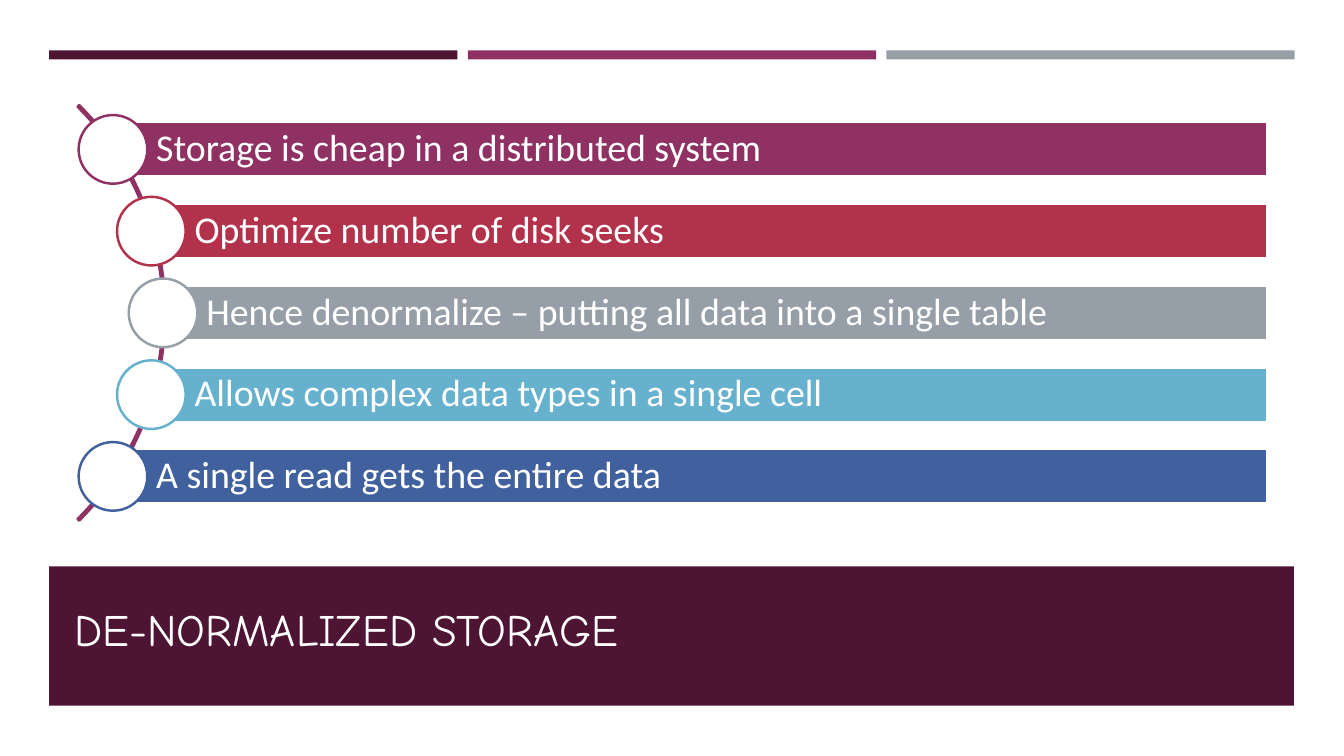
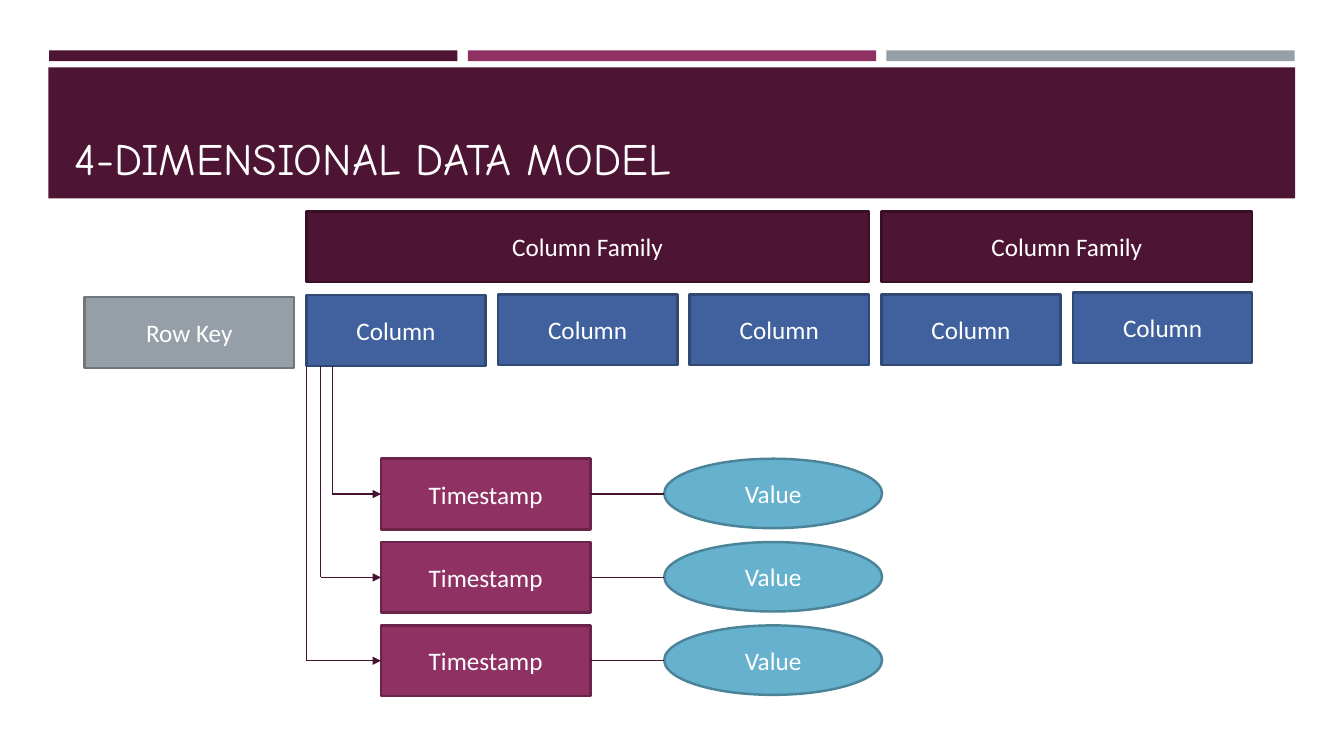
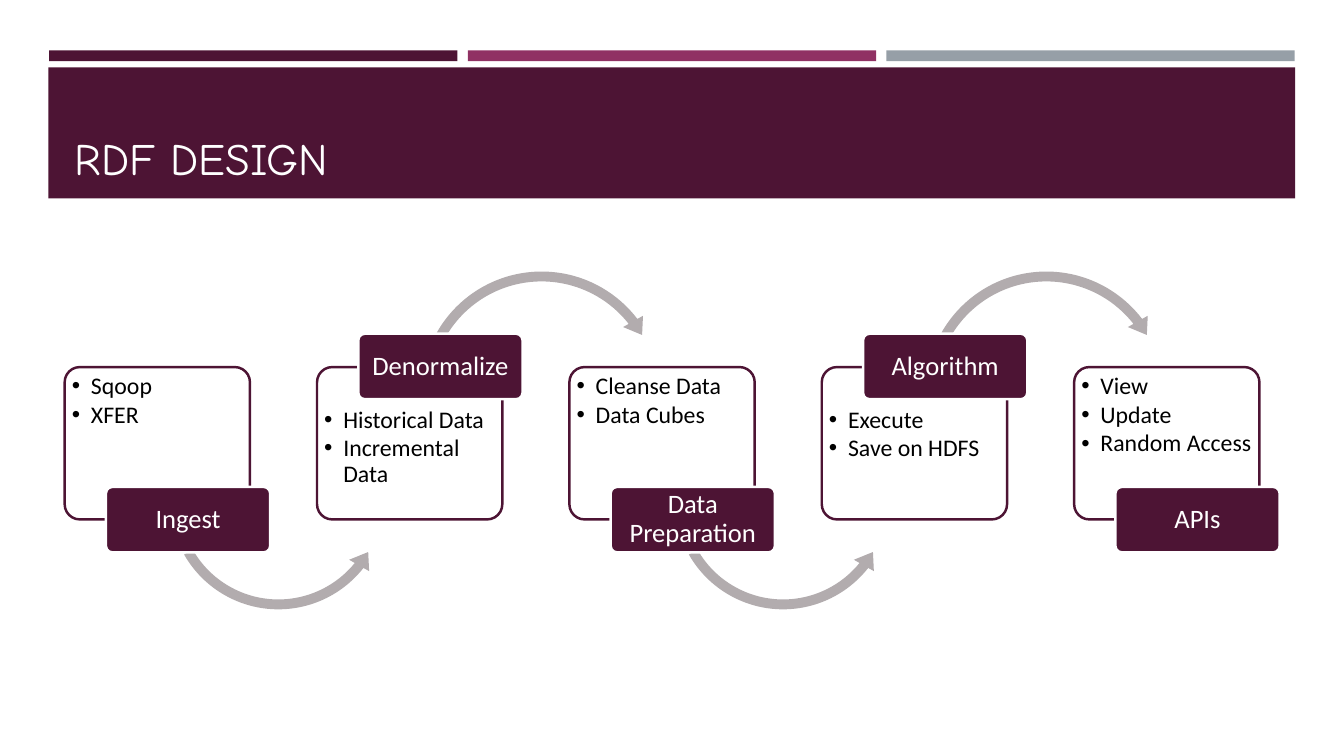
from math import sqrt

from lxml import etree
from pptx import Presentation
from pptx.dml.color import RGBColor
from pptx.enum.shapes import MSO_CONNECTOR, MSO_SHAPE
from pptx.enum.text import MSO_ANCHOR, PP_ALIGN
from pptx.oxml.ns import qn
from pptx.util import Cm, Pt

RECT, ROUND, OVAL = MSO_SHAPE.RECTANGLE, MSO_SHAPE.ROUNDED_RECTANGLE, MSO_SHAPE.OVAL
BLOCK_ARC = MSO_SHAPE.BLOCK_ARC
ARROW_OVER, ARROW_UNDER = MSO_SHAPE.CIRCULAR_ARROW, MSO_SHAPE.LEFT_CIRCULAR_ARROW
STRAIGHT = MSO_CONNECTOR.STRAIGHT
TOP, MIDDLE, BOTTOM = MSO_ANCHOR.TOP, MSO_ANCHOR.MIDDLE, MSO_ANCHOR.BOTTOM
LEFT, CENTER = PP_ALIGN.LEFT, PP_ALIGN.CENTER

WHITE = RGBColor(0xFF, 0xFF, 0xFF)
BLACK = RGBColor(0x00, 0x00, 0x00)
WINE = RGBColor(0x4D, 0x14, 0x34)
WINE_DARK = RGBColor(0x39, 0x0F, 0x26)
WINE_LINE = RGBColor(0x45, 0x12, 0x2F)
PLUM = RGBColor(0x90, 0x31, 0x63)
PLUM_DARK = RGBColor(0x6B, 0x24, 0x49)
RED = RGBColor(0xB2, 0x32, 0x4B)
GREY = RGBColor(0x96, 0x9F, 0xA7)
GREY_DARK = RGBColor(0x6F, 0x76, 0x7C)
SKY = RGBColor(0x66, 0xB1, 0xCE)
SKY_DARK = RGBColor(0x4B, 0x83, 0x98)
BLUE = RGBColor(0x40, 0x61, 0x9D)
BLUE_DARK = RGBColor(0x2F, 0x48, 0x74)
ARROW = RGBColor(0xB2, 0xAC, 0xAE)

BODY, HEAD = "Calibri", "Comic Neue"
INSETS = (0.25, 0.13, 0.25, 0.13)


def set_all(obj, values):
    for name, value in values.items():
        setattr(obj, name, value)


def add_shape(s, kind, box, fill=None, line=None, adj=()):
    sp = s.shapes.add_shape(kind, *map(Cm, box))
    sp.shadow.inherit = False
    if fill is None:
        sp.fill.background()
    else:
        sp.fill.solid()
        sp.fill.fore_color.rgb = fill
    if line is None:
        sp.line.fill.background()
    else:
        sp.line.color.rgb = line
        sp.line.width = Pt(1.75)
    for i, value in enumerate(adj):
        sp.adjustments[i] = value
    return sp


def add_bullet(p):
    pPr = p._p.get_or_add_pPr()
    pPr.set("marL", str(Cm(0.48)))
    pPr.set("indent", str(-Cm(0.48)))
    etree.SubElement(pPr, qn("a:buFont")).set("typeface", "Arial")
    etree.SubElement(pPr, qn("a:buChar")).set("char", "•")


def write(sp, lines, size, color=WHITE, font=BODY, anchor=MIDDLE, align=CENTER,
          insets=INSETS, spacing=1.0, bullets=False):
    tf = sp.text_frame
    sides = ("margin_left", "margin_top", "margin_right", "margin_bottom")
    set_all(tf, {"word_wrap": True, "vertical_anchor": anchor,
                 **dict(zip(sides, map(Cm, insets)))})
    for i, text in enumerate(lines):
        p = tf.add_paragraph() if i else tf.paragraphs[0]
        if bullets:
            add_bullet(p)
        set_all(p, {"alignment": align, "line_spacing": spacing,
                    "space_after": Pt(2 if bullets else 0)})
        r = p.add_run()
        r.text = text
        set_all(r.font, {"name": font, "size": Pt(size)})
        r.font.color.rgb = color


def add_line(s, start, end, arrow=False):
    cxn = s.shapes.add_connector(STRAIGHT, *map(Cm, start + end))
    cxn.line.color.rgb = WINE_LINE
    cxn.line.width = Pt(1)
    if arrow:
        etree.SubElement(cxn.line._get_or_add_ln(), qn("a:tailEnd")).set("type", "triangle")
    etree.SubElement(cxn._element.spPr, qn("a:effectLst"))


def add_slide(prs, title, band, title_box, bar_height=0.27):
    s = prs.slides.add_slide(prs.slide_layouts[6])
    for i, color in enumerate((WINE, PLUM, GREY)):
        add_shape(s, RECT, (1.24 + 10.55 * i, 1.27, 10.29, bar_height), color)
    add_shape(s, RECT, band, WINE)
    tb = s.shapes.add_textbox(*map(Cm, title_box))
    write(tb, [title], 32, font=HEAD, anchor=BOTTOM, align=LEFT)
    return s


def add_top_slide(prs, title):
    return add_slide(prs, title, (1.22, 1.7, 31.42, 3.3), (1.63, 1.96, 30.63, 2.82))


def curved_list(s, box, items):
    left, top, width, height = box
    pitch, bar, dot, arc, radius = 2.06, 1.37, 1.73, 14.81, 7.35
    cx, cy = left - 5.2, top + height / 2
    add_shape(s, BLOCK_ARC, (cx - arc / 2, cy - arc / 2, arc, arc),
              line=PLUM, adj=(189, 27, 0.004))
    for i, (text, color) in enumerate(items):
        dy = (i - (len(items) - 1) / 2) * pitch
        x, y = cx + sqrt(radius ** 2 - dy ** 2), cy + dy
        sp = add_shape(s, RECT, (x, y - bar / 2, left + width - x, bar), color, WHITE)
        write(sp, [text], 27, align=LEFT, insets=(1.09, 0.18, 0.18, 0.18), spacing=0.9)
        add_shape(s, OVAL, (x - dot / 2, y - dot / 2, dot, dot), WHITE, color)


def label(s, kind, box, text, fill, line):
    write(add_shape(s, kind, box, fill, line), [text], 18)


def column_grid(s, left, top):
    pitch, gap, height = 4.83, 0.31, 1.78
    label(s, RECT, (left - 5.59, top + 2.16, 5.28, height), "Row Key", GREY, GREY_DARK)
    for first, count in ((0, 3), (3, 2)):
        box = (left + first * pitch, top, count * pitch - gap, height)
        label(s, RECT, box, "Column Family", WINE, WINE_DARK)
    for i, drop in enumerate((2.11, 2.09, 2.09, 2.09, 2.04)):
        box = (left + i * pitch, top + drop, pitch - gap, height)
        label(s, RECT, box, "Column", BLUE, BLUE_DARK)


def version_rows(s, left, top, trunk_top):
    width, height, pitch, value_left = 5.28, 1.78, 2.1, 7.14
    for i, trunk in enumerate((1.22, 1.52, 1.88)):
        y = top + i * pitch
        mid, x = y + height / 2, left - 3.1 + trunk
        x = left - (1.22, 1.52, 1.88)[i]
        label(s, RECT, (left, y, width, height), "Timestamp", PLUM, PLUM_DARK)
        label(s, OVAL, (left + value_left, y, 5.49, 1.75), "Value", SKY, SKY_DARK)
        add_line(s, (x, trunk_top), (x, mid))
        add_line(s, (x, mid), (left, mid), arrow=True)
        add_line(s, (left + width, mid), (left + value_left, mid))


def process_step(s, left, top, name, details, raised, arrow):
    inset = 0.91 if raised else 0.07
    card = add_shape(s, ROUND, (left, top, 4.67, 3.84), WHITE, WINE, (0.1,))
    write(card, details, 17, BLACK, anchor=TOP, align=LEFT,
          insets=(0.07, inset, 0, 0.07), spacing=0.9, bullets=True)
    if arrow and raised:
        add_shape(s, ARROW_OVER, (left + 2.46, top - 2.57, 6.4, 6.4), ARROW,
                  adj=(0.039, 4.843, 193.401, 125.755, 0.045))
    elif arrow:
        add_shape(s, ARROW_UNDER, (left + 2.49, top + 0.48, 5.79, 5.79), ARROW,
                  adj=(0.043, 5.394, 23.149, 90.245, 0.05))
    chip_top = top - 0.84 if raised else top + 3.02
    chip = add_shape(s, ROUND, (left + 1.04, chip_top, 4.14, 1.65), WINE, WHITE, (0.1,))
    write(chip, [name], 19, insets=(0.1, 0.08, 0.1, 0.08), spacing=0.9)


def process(s, left, top, steps):
    for i, (name, details) in enumerate(steps):
        process_step(s, left + 6.36 * i, top, name, details,
                     raised=i % 2 == 1, arrow=i < len(steps) - 1)


def main():
    prs = Presentation()
    set_all(prs, {"slide_width": Cm(33.87), "slide_height": Cm(19.05)})

    s = add_slide(prs, "DE-NORMALIZED STORAGE", (1.24, 14.27, 31.37, 3.51),
                  (1.63, 14.63, 30.63, 2.01), bar_height=0.23)
    curved_list(s, (1.96, 2.67, 29.97, 10.43), [
        ("Storage is cheap in a distributed system", PLUM),
        ("Optimize number of disk seeks", RED),
        ("Hence denormalize – putting all data into a single table", GREY),
        ("Allows complex data types in a single cell", SKY),
        ("A single read gets the entire data", BLUE),
    ])

    s = add_top_slide(prs, "4-DIMENSIONAL DATA MODEL")
    column_grid(s, 7.72, 5.33)
    version_rows(s, 9.6, 11.56, 9.23)

    s = add_top_slide(prs, "RDF DESIGN")
    process(s, 1.63, 9.25, [
        ("Ingest", ["Sqoop", "XFER"]),
        ("Denormalize", ["Historical Data", "Incremental Data"]),
        ("Data Preparation", ["Cleanse Data", "Data Cubes"]),
        ("Algorithm", ["Execute", "Save on HDFS"]),
        ("APIs", ["View", "Update", "Random Access"]),
    ])

    prs.save("out.pptx")


if __name__ == "__main__":
    main()
